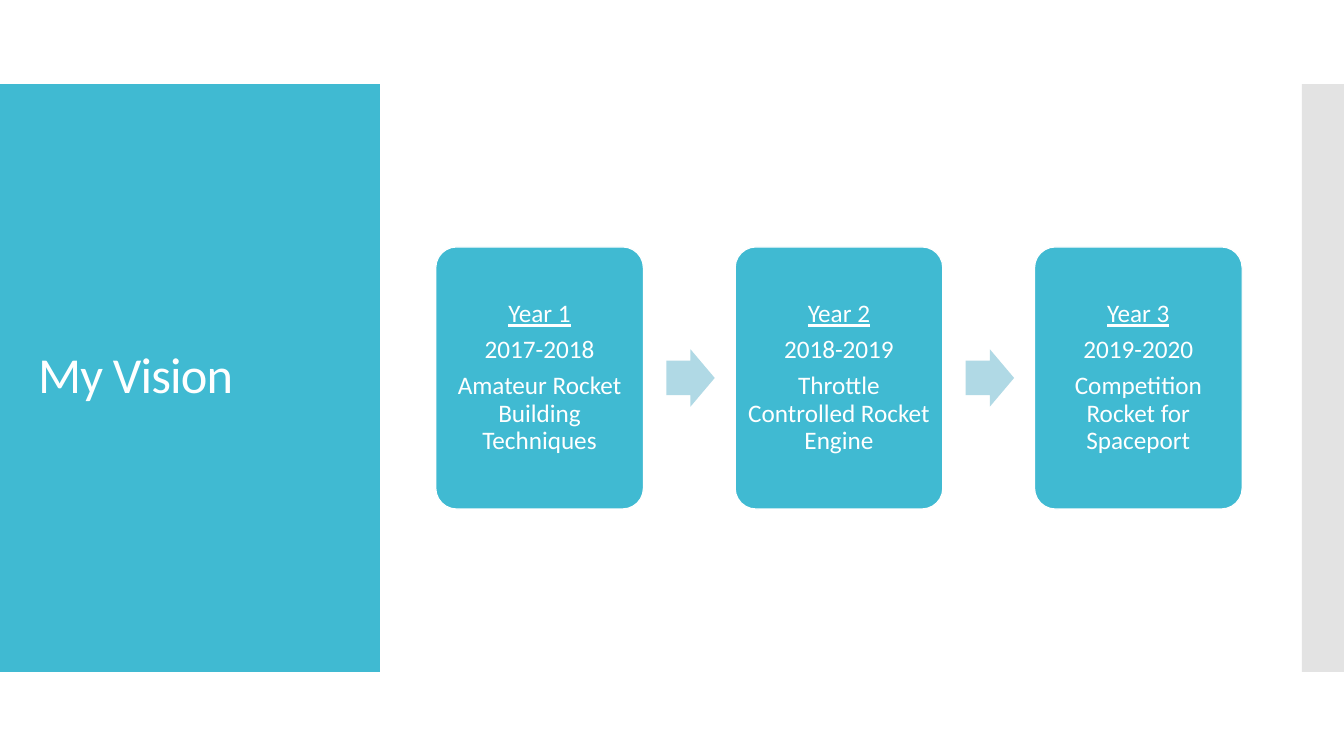
from lxml.etree import SubElement
from pptx import Presentation
from pptx.dml.color import RGBColor
from pptx.enum.shapes import MSO_SHAPE
from pptx.enum.text import MSO_ANCHOR, MSO_AUTO_SIZE, PP_ALIGN
from pptx.oxml.ns import qn
from pptx.util import Pt

TEAL = RGBColor(0x40, 0xBA, 0xD2)
PALE_TEAL = RGBColor(0xB0, 0xD9, 0xE5)
GRAY = RGBColor(0xC8, 0xC8, 0xC8)
WHITE = RGBColor(0xFF, 0xFF, 0xFF)

CARD_LEFT, CARD_WIDTH, CARD_HEIGHT = 311.3, 148.3, 187.2
CARD_PITCH = 213.85
ARROW_WIDTH, ARROW_HEIGHT = 34.6, 41
MIDDLE = 270
YEARS = [
    ("Year 1", "2017-2018", "Amateur Rocket Building Techniques"),
    ("Year 2", "2018-2019", "Throttle Controlled Rocket Engine"),
    ("Year 3", "2019-2020", "Competition Rocket for Spaceport"),
]


class VisionSlide:
    font_name = "Calibri"

    def __init__(self, presentation):
        self.slide = presentation.slides.add_slide(presentation.slide_layouts[5])

    def shape(self, kind, left, top, width, height, color):
        shape = self.slide.shapes.add_shape(kind, Pt(left), Pt(top), Pt(width), Pt(height))
        shape.shadow.inherit = False
        shape.fill.solid()
        shape.fill.fore_color.rgb = color
        shape.line.fill.background()
        return shape

    def panel(self, left, width, color, opacity=100):
        panel = self.shape(MSO_SHAPE.RECTANGLE, left, 60, width, 420, color)
        if opacity < 100:
            color_element = panel._element.spPr.find(qn("a:solidFill"))[0]
            SubElement(color_element, qn("a:alpha")).set("val", str(opacity * 1000))
        self.slide.shapes._spTree.insert(2, panel._element)

    def style(self, paragraph, size, alignment):
        paragraph.alignment = alignment
        paragraph.line_spacing = 0.9
        for run in paragraph.runs:
            run.font.name = self.font_name
            run.font.size = Pt(size)
            run.font.color.rgb = WHITE

    def title(self, text):
        title = self.slide.shapes.title
        title.left, title.top, title.width, title.height = Pt(20), Pt(88.5), Pt(232), Pt(362)
        text_frame = title.text_frame
        text_frame.text = text
        text_frame.auto_size = MSO_AUTO_SIZE.NONE
        text_frame.vertical_anchor = MSO_ANCHOR.MIDDLE
        paragraph = text_frame.paragraphs[0]
        self.style(paragraph, 36, PP_ALIGN.LEFT)
        paragraph.runs[0].font._element.set("spc", "-60")

    def card(self, left, lines):
        card = self.shape(MSO_SHAPE.ROUNDED_RECTANGLE, left, MIDDLE - CARD_HEIGHT / 2,
                          CARD_WIDTH, CARD_HEIGHT, TEAL)
        card.adjustments[0] = 0.1
        card.line.color.rgb = WHITE
        card.line.width = Pt(0.85)
        text_frame = card.text_frame
        text_frame.word_wrap = True
        text_frame.vertical_anchor = MSO_ANCHOR.MIDDLE
        text_frame.margin_left = text_frame.margin_right = Pt(5)
        text_frame.margin_top = text_frame.margin_bottom = Pt(5)
        text_frame.text = "\n".join(lines)
        for paragraph in text_frame.paragraphs:
            self.style(paragraph, 18, PP_ALIGN.CENTER)
            paragraph.space_after = Pt(6.3)
        text_frame.paragraphs[0].runs[0].font.underline = True

    def arrow(self, left):
        arrow = self.shape(MSO_SHAPE.RIGHT_ARROW, left, MIDDLE - ARROW_HEIGHT / 2,
                           ARROW_WIDTH, ARROW_HEIGHT, PALE_TEAL)
        arrow.adjustments[0] = 0.6
        arrow.adjustments[1] = 0.5


def main():
    presentation = Presentation()
    presentation.slide_width, presentation.slide_height = Pt(960), Pt(540)
    vision = VisionSlide(presentation)
    vision.panel(0, 271.3, TEAL)
    vision.panel(930, 30, GRAY, opacity=50)
    vision.title("My Vision")
    for index, lines in enumerate(YEARS):
        left = CARD_LEFT + index * CARD_PITCH
        vision.card(left, lines)
        if index < len(YEARS) - 1:
            vision.arrow(left + 164.6)
    presentation.save("out.pptx")


if __name__ == "__main__":
    main()
